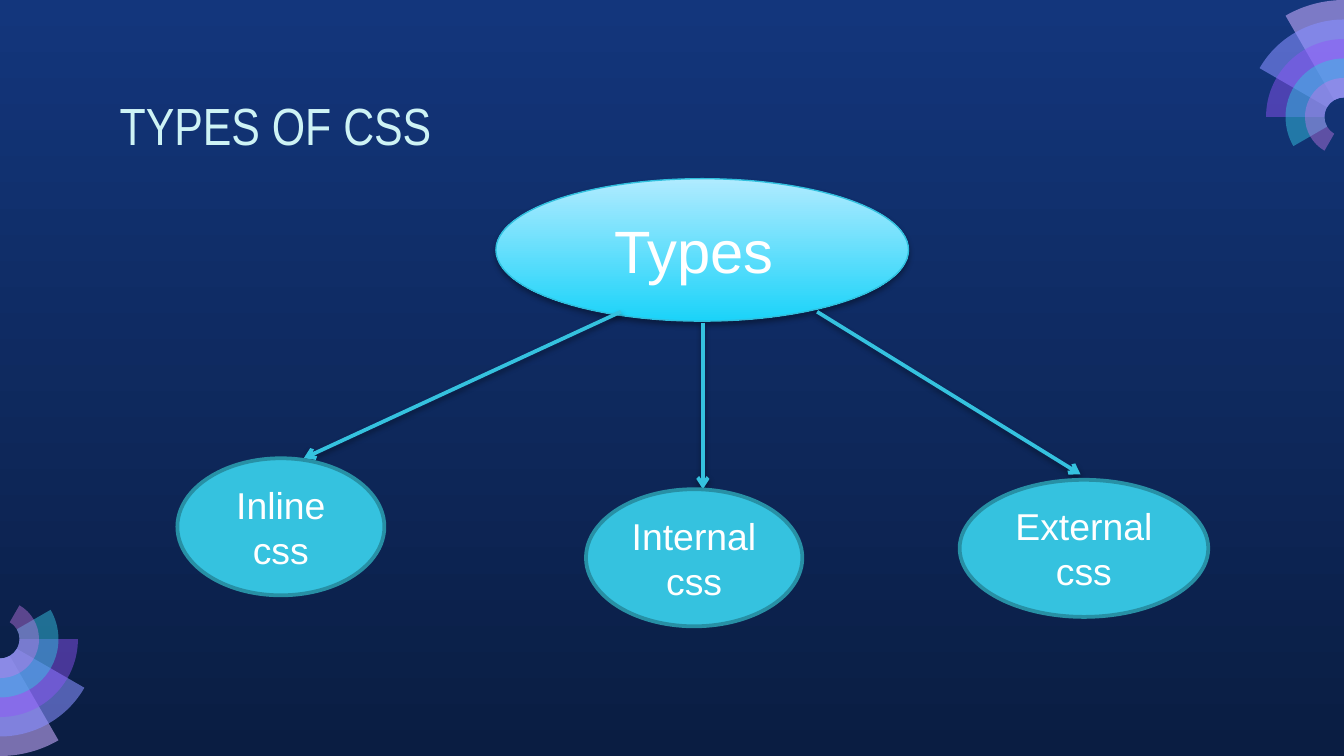
"""Build a slide showing the three types of CSS as a small tree."""
from dataclasses import dataclass
from itertools import pairwise
from math import cos, radians, sin, tan

from lxml import etree
from pptx import Presentation
from pptx.dml.color import RGBColor
from pptx.enum.shapes import MSO_CONNECTOR, MSO_SHAPE
from pptx.enum.text import MSO_ANCHOR, MSO_AUTO_SIZE, PP_ALIGN
from pptx.oxml.ns import qn
from pptx.util import Inches, Pt

OVAL = MSO_SHAPE.OVAL
STRAIGHT = MSO_CONNECTOR.STRAIGHT
TOP, MIDDLE = MSO_ANCHOR.TOP, MSO_ANCHOR.MIDDLE
LEFT, CENTER = PP_ALIGN.LEFT, PP_ALIGN.CENTER


@dataclass(frozen=True)
class Theme:
    background: tuple = ("13367C", "0A1D42")
    root: tuple = ("B0EBFF", "1BD3F9")
    root_line: str = "30C0DE"
    accent: str = "35C2DF"
    accent_line: str = "2790A5"
    title: str = "CEF3F5"
    text: str = "FFFFFF"
    fan: tuple = (("C8ACFD", 58), ("878FFF", 58), ("9154F8", 46),
                  ("35C2DF", 49), ("CA7BEB", 42))
    title_font: str = "Arial Narrow"
    body_font: str = "Arial"
    title_size: int = 28
    root_size: int = 32
    branch_size: int = 20


theme = Theme()


def write_text(shape, text, font_name, size, color, alignment, anchor):
    frame = shape.text_frame
    frame.text = text
    frame.word_wrap = True
    frame.auto_size = MSO_AUTO_SIZE.NONE
    frame.vertical_anchor = anchor
    paragraph = frame.paragraphs[0]
    paragraph.alignment = alignment
    paragraph.font.name = font_name
    paragraph.font.size = Pt(size)
    paragraph.font.color.rgb = RGBColor.from_string(color)


def add_shadow(shape, opacity, distance):
    effects = etree.SubElement(shape._element.spPr, qn("a:effectLst"))
    shadow = etree.SubElement(effects, qn("a:outerShdw"), blurRad=str(Pt(3.1)),
                              dist=str(Pt(distance)), dir="5400000", rotWithShape="0")
    color = etree.SubElement(shadow, qn("a:srgbClr"), val="000000")
    etree.SubElement(color, qn("a:alpha"), val=str(opacity * 1000))


presentation = Presentation()
presentation.slide_width = Inches(10)
presentation.slide_height = Inches(5.625)
slide = presentation.slides.add_slide(presentation.slide_layouts[5])
shapes = slide.shapes

background = slide.background.fill
background.gradient()
background.gradient_angle = 270
for stop, color in zip(background.gradient_stops, theme.background):
    stop.color.rgb = RGBColor.from_string(color)

hub_radius = 0.145
for center_x, center_y, turn in ((10, 0.87, 0), (0, 4.755, 180)):
    fan = shapes.add_group_shape()
    for index, (color, opacity) in enumerate(theme.fan):
        end = 120 + 30 * index
        angles = [90, end] if end <= 180 else [90, 180, end]
        points = []
        for radius, stops in ((hub_radius * (6 - index), angles), (hub_radius, angles[::-1])):
            nodes = [(stops[0], 0)]
            for start, finish in pairwise(stops):
                handle = 4 / 3 * tan(radians(finish - start) / 4)
                nodes += [(start, handle), (finish, -handle), (finish, 0)]
            for angle, handle in nodes:
                turned = radians(angle + turn)
                x = center_x + radius * (cos(turned) - handle * sin(turned))
                y = center_y - radius * (sin(turned) + handle * cos(turned))
                points.append((Inches(x), Inches(y)))
        builder = fan.shapes.build_freeform(*points[0])
        builder.add_line_segments(points[1:], close=True)
        sector = builder.convert_to_shape()

        segments = list(sector._element.iter(qn("a:lnTo")))
        curve_length = 3 * (len(angles) - 1)
        for side in (segments[:curve_length], segments[curve_length + 1:]):
            for first in range(0, curve_length, 3):
                curve = etree.Element(qn("a:cubicBezTo"))
                side[first].addprevious(curve)
                for segment in side[first:first + 3]:
                    curve.append(segment[0])
                    segment.getparent().remove(segment)

        sector.shadow.inherit = False
        sector.fill.solid()
        sector.fill.fore_color.rgb = RGBColor.from_string(color)
        sector.line.fill.background()
        fill_color = sector._element.spPr.find(qn("a:solidFill"))[0]
        etree.SubElement(fill_color, qn("a:alpha"), val=str(opacity * 1000))

title = shapes.title
title.left, title.top = Inches(0.79), Inches(0.59)
title.width, title.height = Inches(8.43), Inches(0.63)
write_text(title, "TYPES OF CSS", theme.title_font, theme.title_size,
           theme.title, LEFT, TOP)
frame = title.text_frame
frame.margin_left = frame.margin_right = Inches(0.1)
frame.margin_top = frame.margin_bottom = Inches(0.1)

root = shapes.add_shape(OVAL, Inches(3.69), Inches(1.33), Inches(3.07), Inches(1.06))
root.fill.gradient()
root.fill.gradient_angle = 270
for stop, color in zip(root.fill.gradient_stops, theme.root):
    stop.color.rgb = RGBColor.from_string(color)
root.line.color.rgb = RGBColor.from_string(theme.root_line)
root.line.width = Pt(0.75)
add_shadow(root, 35, 1.8)
write_text(root, "Types ", theme.body_font, theme.root_size, theme.text, CENTER, MIDDLE)

branches = (
    ("Inline css", (1.32, 3.41, 1.54), (4.62, 2.32, 2.26, 3.41)),
    ("Internal css", (4.36, 3.64, 1.61), (5.23, 2.4, 5.23, 3.64)),
    ("External css", (7.14, 3.57, 1.85), (6.08, 2.32, 8.04, 3.53)),
)
for label, (left, top, width), ends in branches:
    arrow = shapes.add_connector(STRAIGHT, *map(Inches, ends))
    arrow.line.color.rgb = RGBColor.from_string(theme.accent)
    arrow.line.width = Pt(2)
    etree.SubElement(arrow.line._get_or_add_ln(), qn("a:tailEnd"), type="arrow")
    add_shadow(arrow, 38, 1.6)

    branch = shapes.add_shape(OVAL, Inches(left), Inches(top), Inches(width), Inches(1.02))
    branch.shadow.inherit = False
    branch.fill.solid()
    branch.fill.fore_color.rgb = RGBColor.from_string(theme.accent)
    branch.line.color.rgb = RGBColor.from_string(theme.accent_line)
    branch.line.width = Pt(2)
    write_text(branch, label, theme.body_font, theme.branch_size, theme.text, CENTER, MIDDLE)

presentation.save("out.pptx")
